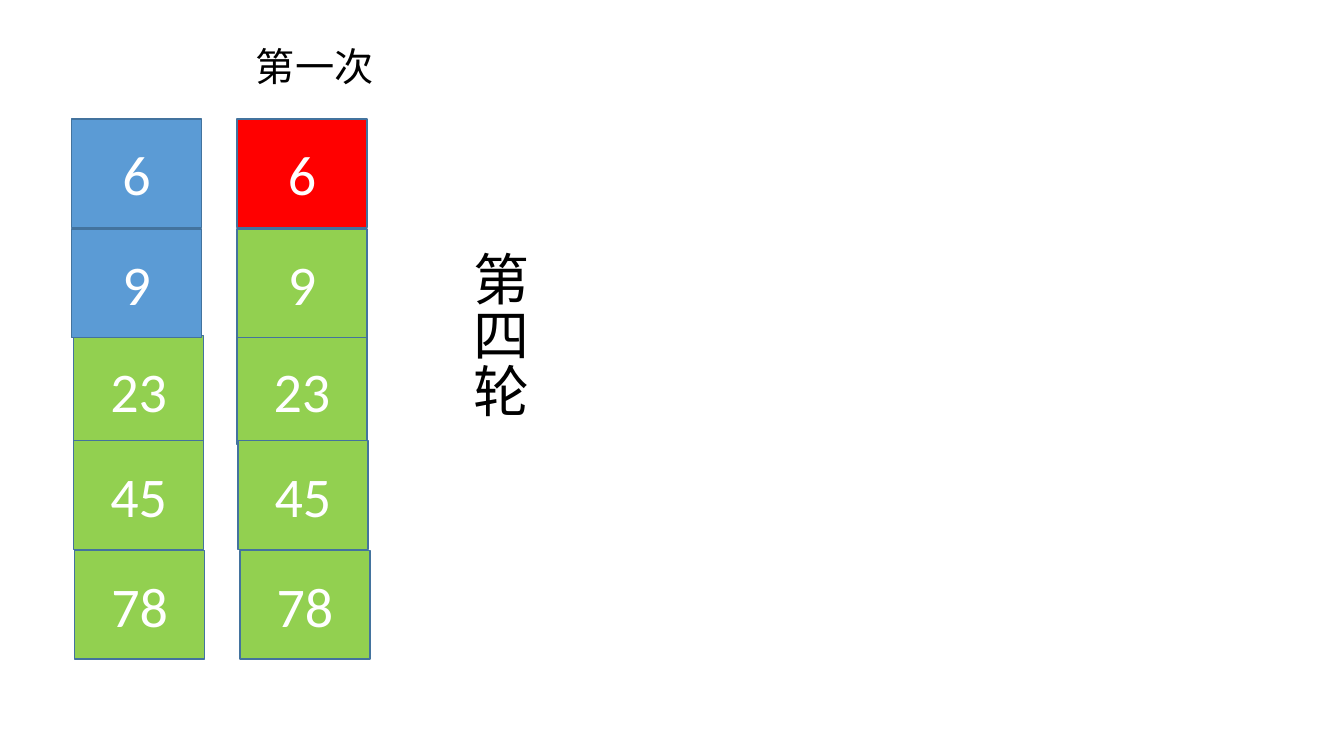
from pptx import Presentation
from pptx.dml.color import RGBColor
from pptx.enum.shapes import MSO_SHAPE
from pptx.enum.text import MSO_ANCHOR, MSO_AUTO_SIZE, PP_ALIGN
from pptx.util import Pt

SCALE = 9144
COLORS = {
    "blue": "5B9BD5",
    "green": "92D050",
    "red": "FF0000",
    "edge": "43739E",
    "white": "FFFFFF",
    "black": "000000",
}


class Board:
    font = "Calibri"
    width, height = 129, 108

    def __init__(self, slide):
        self.slide = slide

    def color(self, name):
        return RGBColor.from_string(COLORS[name])

    def style(self, frame, text, size, color):
        frame.text = text
        frame.word_wrap = True
        font = frame.paragraphs[0].runs[0].font
        font.name = self.font
        font.size = Pt(size)
        font.color.rgb = self.color(color)

    def cell(self, left, top, text, fill):
        box = [n * SCALE for n in (left, top, self.width, self.height)]
        shape = self.slide.shapes.add_shape(MSO_SHAPE.RECTANGLE, *box)
        shape.shadow.inherit = False
        shape.fill.solid()
        shape.fill.fore_color.rgb = self.color(fill)
        shape.line.color.rgb = self.color("edge")
        shape.line.width = Pt(1)
        frame = shape.text_frame
        self.style(frame, text, 40, "white")
        frame.vertical_anchor = MSO_ANCHOR.MIDDLE
        frame.paragraphs[0].alignment = PP_ALIGN.CENTER

    def label(self, left, top, width, height, text, size, upright=False):
        box = [n * SCALE for n in (left, top, width, height)]
        shape = self.slide.shapes.add_textbox(*box)
        frame = shape.text_frame
        self.style(frame, text, size, "black")
        frame.auto_size = MSO_AUTO_SIZE.SHAPE_TO_FIT_TEXT
        if upright:
            shape.element.txBody.bodyPr.set("vert", "eaVert")


def main():
    deck = Presentation()
    deck.slide_width = 1333 * SCALE
    deck.slide_height = 750 * SCALE
    board = Board(deck.slides.add_slide(deck.slide_layouts[6]))

    tops = {"23": 333, "9": 227, "78": 546, "6": 118, "45": 437}
    before = {"23": 73, "9": 71, "78": 74, "6": 71, "45": 73}
    after = {"23": 235, "9": 235, "78": 238, "6": 235, "45": 236}
    marks = ({"6": "blue", "9": "blue"}, {"6": "red"})

    for lefts, fills in zip((before, after), marks):
        for value, top in tops.items():
            board.cell(lefts[value], top, value, fills.get(value, "green"))

    board.label(244, 37, 142, 57, "第一次", 28)
    board.label(446, 239, 88, 471, "第四轮", 40, upright=True)
    deck.save("out.pptx")


if __name__ == "__main__":
    main()
